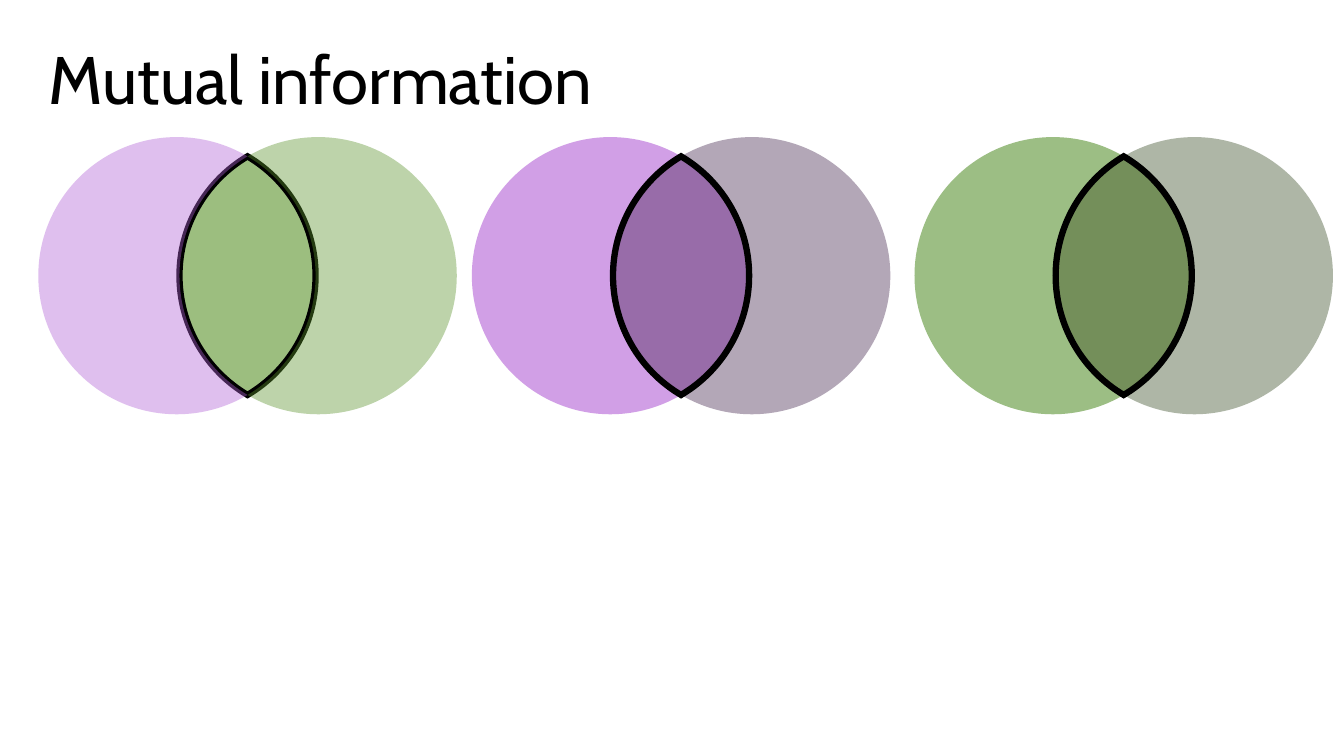
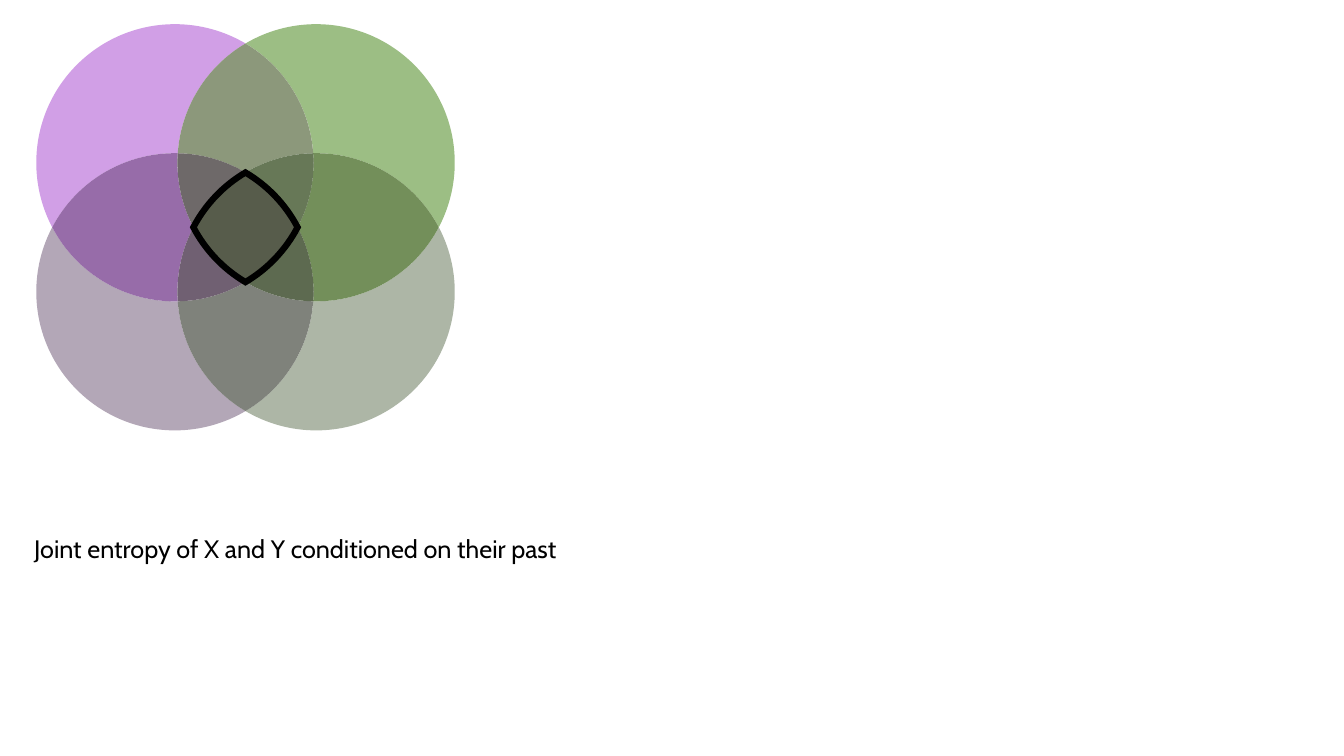
import math
from dataclasses import dataclass

from lxml import etree
from pptx import Presentation
from pptx import util as u
from pptx.dml.color import RGBColor
from pptx.enum import text
from pptx.oxml.ns import qn


@dataclass(frozen=True)
class Theme:
    font: str = "Cabin"
    ink: str = "000000"
    title: int = 48
    body: int = 18
    rule: float = 4.5
    mauve: str = "B15FD5"
    leaf: str = "5A932B"
    lilac: str = "D19FE6"
    sage: str = "9CBE84"
    dusk: str = "B3A7B7"


THEME = Theme()
SIZE = 2.75           # circle diameter
STEP = (1.4, 1.28)    # distance between circle centres, across and down

# Each key names the circles a region lies in: a, b on top, c, d below.
# Regions are drawn in the order given; a value is a colour and its opacity.
SOFT = {"ab": (THEME.leaf, 60), "a": (THEME.mauve, 40), "b": (THEME.leaf, 40)}
PAST_X = {"a": (THEME.lilac, 100), "b": (THEME.dusk, 100), "ab": ("986CA9", 100)}
PAST_Y = {"a": (THEME.sage, 100), "b": ("AEB6A6", 100), "ab": ("748F5A", 100)}
JOINT = {key: (tone, 100) for key, tone in {
    "a": THEME.lilac, "b": THEME.sage, "c": THEME.dusk, "d": "ADB6A6",
    "ab": "8C987B", "ac": "976CA9", "bd": "738F5A", "cd": "7F827B",
    "abc": "6E6969", "abd": "677857", "acd": "706072", "bcd": "5D6A50",
    "abcd": "575C4B"}.items()}


def rim(mid, turn):
    """Point on the circle around mid at the given angle."""
    return mid + SIZE / 2 * complex(math.cos(turn), math.sin(turn))


def cuts(mid, others):
    """Angles at which the other circles cross the circle around mid."""
    found = []
    for other in others:
        gap = other - mid
        aim, half = math.atan2(gap.imag, gap.real), math.acos(abs(gap) / SIZE)
        found += [(aim - half) % math.tau, (aim + half) % math.tau]
    return sorted(found)


def curve(mid, start, end):
    """Bezier points of an arc, split at quarter turns to stay in its bounds."""
    quarters = (i * math.pi / 2 for i in range(9))
    turns = [start, *(q for q in quarters if start < q < end), end]
    points = [rim(mid, start)]
    for one, two in zip(turns, turns[1:]):
        pull = 4 / 3 * math.tan((two - one) / 4) * 1j
        head, tail = rim(mid, one), rim(mid, two)
        points += [head + pull * (head - mid), tail - pull * (tail - mid), tail]
    return points


def arcs(mids, key):
    """Arcs that bound the region inside the circles of key and outside the rest."""
    for name, mid in mids.items():
        rest = {n: m for n, m in mids.items() if n != name}
        turns = cuts(mid, rest.values())
        for start, end in zip(turns, turns[1:] + [turns[0] + math.tau]):
            probe = rim(mid, (start + end) / 2)
            if all((abs(probe - m) < SIZE / 2) == (n in key) for n, m in rest.items()):
                yield curve(mid, start, end)


def outline(mids, key):
    """Join the bounding arcs of a region end to end."""
    parts = list(arcs(mids, key))
    chain = parts.pop(0)
    while parts:
        tail = chain[-1]
        near = min(parts, key=lambda p: min(abs(p[0] - tail), abs(p[-1] - tail)))
        parts.remove(near)
        if abs(near[-1] - tail) < abs(near[0] - tail):
            near.reverse()
        chain += near[1:]
    return [(u.Inches(p.real), u.Inches(p.imag)) for p in chain]


def bend(shape):
    """Turn each three line segments of a freeform into one Bezier curve."""
    track = next(shape.element.iter(qn("a:path")))
    lines = track.findall(qn("a:lnTo"))
    for i in range(0, len(lines) - 2, 3):
        bezier = etree.SubElement(track, qn("a:cubicBezTo"))
        for line in lines[i:i + 3]:
            bezier.append(line[0])
            track.remove(line)
    track.append(track.find(qn("a:close")))


def region(slide, points, tone, alpha, edge):
    form = slide.shapes.build_freeform(*points[0])
    form.add_line_segments(points[1:], close=True)
    shape = form.convert_to_shape()
    bend(shape)
    shape.shadow.inherit = False
    shape.fill.solid()
    shape.fill.fore_color.rgb = RGBColor.from_string(tone)
    if alpha < 100:
        color = shape.element.spPr.find(qn("a:solidFill"))[0]
        etree.SubElement(color, qn("a:alpha"), val=str(alpha * 1000))
    if edge:
        shape.line.width = u.Pt(THEME.rule)
        shape.line.color.rgb = RGBColor.from_string(THEME.ink)
        line = shape.element.spPr.find(qn("a:ln"))
        etree.SubElement(line, qn("a:miter"), lim="800000")
    else:
        shape.line.fill.background()


def venn(slide, left, top, fills):
    """Draw overlapping circles from left, top; the part common to all is outlined."""
    names = max(fills, key=len)
    mids = {name: complex(left + SIZE / 2 + i % 2 * STEP[0],
                          top + SIZE / 2 + i // 2 * STEP[1])
            for i, name in enumerate(names)}
    for key, (tone, alpha) in fills.items():
        region(slide, outline(mids, key), tone, alpha, key == names)


def label(shape, box, words, size):
    spots = zip(("left", "top", "width", "height"), box)
    for name, value in spots:
        setattr(shape, name, u.Inches(value))
    frame = shape.text_frame
    frame.text = words
    form = {"word_wrap": False, "auto_size": text.MSO_AUTO_SIZE.NONE,
            "vertical_anchor": text.MSO_ANCHOR.TOP}
    for name, value in form.items():
        setattr(frame, name, value)
    para = frame.paragraphs[0]
    para.alignment = text.PP_ALIGN.LEFT
    font = para.runs[0].font
    for name, value in {"name": THEME.font, "size": u.Pt(size)}.items():
        setattr(font, name, value)
    font.color.rgb = RGBColor.from_string(THEME.ink)


def mutual(deck):
    slide = deck.slides.add_slide(deck.slide_layouts[5])
    label(slide.shapes.title, (0.38, 0.32, 5.75, 0.91), "Mutual information", THEME.title)
    for left, fills in ((0.38, SOFT), (4.68, PAST_X), (9.07, PAST_Y)):
        venn(slide, left, 1.36, fills)


def joint(deck):
    slide = deck.slides.add_slide(deck.slide_layouts[6])
    venn(slide, 0.36, 0.24, JOINT)
    label(slide.shapes.add_textbox(0, 0, 0, 0), (0.24, 5.24, 5.46, 0.4),
          "Joint entropy of X and Y conditioned on their past", THEME.body)


def main():
    deck = Presentation()
    deck.slide_width, deck.slide_height = u.Inches(13.33), u.Inches(7.5)
    mutual(deck)
    joint(deck)
    deck.save("out.pptx")


if __name__ == "__main__":
    main()
